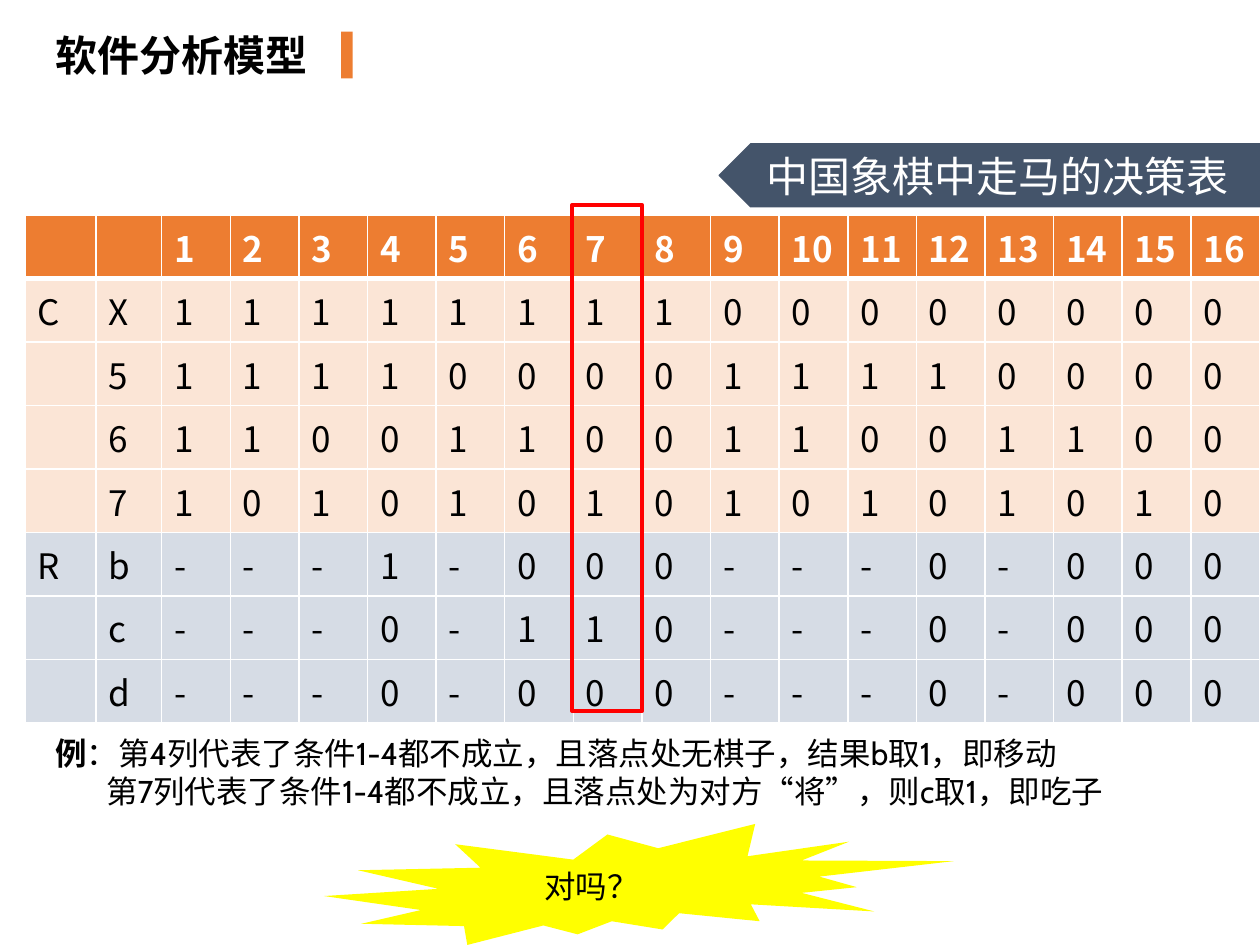
from dataclasses import dataclass

from lxml import etree
from pptx import Presentation
from pptx.dml.color import RGBColor
from pptx.enum.shapes import MSO_SHAPE
from pptx.enum.text import MSO_ANCHOR, PP_ALIGN
from pptx.oxml.ns import qn
from pptx.util import Cm, Pt

RECTANGLE = MSO_SHAPE.RECTANGLE
PENTAGON = MSO_SHAPE.PENTAGON
EXPLOSION = MSO_SHAPE.EXPLOSION2
LEFT = PP_ALIGN.LEFT
CENTER = PP_ALIGN.CENTER
TOP = MSO_ANCHOR.TOP
MIDDLE = MSO_ANCHOR.MIDDLE

CJK = "Noto Sans CJK SC"
LATIN = "Cabin"
COLORS = {
    "orange": "ED7D31",
    "peach": "FBE5D6",
    "mist": "D6DCE5",
    "slate": "44546A",
    "red": "FF0000",
    "yellow": "FFFF00",
    "white": "FFFFFF",
    "black": "000000",
}
RULE_COUNT = 16
TABLE_WIDTH = 24.89
LABEL_WIDTHS = [1.43, 1.32]
RULE_WIDTH = (TABLE_WIDTH - sum(LABEL_WIDTHS)) / RULE_COUNT
HEADER_HEIGHT = 1.04
ROW_HEIGHT = 1.27


@dataclass
class Area:
    left: float
    top: float
    width: float
    height: float

    def lengths(self):
        return Cm(self.left), Cm(self.top), Cm(self.width), Cm(self.height)


@dataclass
class DecisionRow:
    group: str
    label: str
    values: str
    fill: str


ROWS = [
    DecisionRow("C", "X", "1111111100000000", "peach"),
    DecisionRow("", "5", "1111000011110000", "peach"),
    DecisionRow("", "6", "1100110011001100", "peach"),
    DecisionRow("", "7", "1010101010101010", "peach"),
    DecisionRow("R", "b", "---1-000---0-000", "mist"),
    DecisionRow("", "c", "---0-110---0-000", "mist"),
    DecisionRow("", "d", "---0-000---0-000", "mist"),
]


def color(name: str) -> RGBColor:
    return RGBColor.from_string(COLORS[name])


def add_span(para, text: str, *, size: float, font: str = CJK,
             ink: str = "black", bold: bool = False) -> None:
    span = para.add_run()
    span.text = text
    span.font.size = Pt(size)
    span.font.bold = bold
    span.font.name = font
    span.font.color.rgb = color(ink)
    east_asian = etree.SubElement(span.font._element, qn("a:ea"))
    east_asian.set("typeface", CJK)


def add_box(page, area: Area):
    box = page.shapes.add_textbox(*area.lengths())
    box.text_frame.word_wrap = True
    return box


def add_shape(page, kind, area: Area, *, fill: str = "", line: str = "",
              line_width: float = 0.75):
    shape = page.shapes.add_shape(kind, *area.lengths())
    shape.shadow.inherit = False
    if fill:
        shape.fill.solid()
        shape.fill.fore_color.rgb = color(fill)
    else:
        shape.fill.background()
    if line:
        shape.line.color.rgb = color(line)
        shape.line.width = Pt(line_width)
    else:
        shape.line.fill.background()
    return shape


def add_border(cell, side: str, width: float) -> None:
    line = etree.SubElement(cell._tc.get_or_add_tcPr(), qn(f"a:ln{side}"))
    line.set("w", str(Pt(width)))
    fill = etree.SubElement(line, qn("a:solidFill"))
    etree.SubElement(fill, qn("a:srgbClr")).set("val", COLORS["white"])


def fill_row(table, index: int, texts: list[str], *, fill: str,
             ink: str = "black", bold: bool = False,
             top: float = 1, bottom: float = 1) -> None:
    for cell, text in zip(table.rows[index].cells, texts):
        for side, width in (("L", 1), ("R", 1), ("T", top), ("B", bottom)):
            add_border(cell, side, width)
        cell.fill.solid()
        cell.fill.fore_color.rgb = color(fill)
        if text:
            add_span(cell.text_frame.paragraphs[0], text,
                     size=20, ink=ink, bold=bold)


def add_decision_table(page) -> None:
    height = HEADER_HEIGHT + ROW_HEIGHT * len(ROWS)
    area = Area(0.51, 4.34, TABLE_WIDTH, height)
    table = page.shapes.add_table(
        len(ROWS) + 1, RULE_COUNT + 2, *area.lengths()).table
    table.horz_banding = False
    widths = LABEL_WIDTHS + [RULE_WIDTH] * RULE_COUNT
    for column, width in zip(table.columns, widths):
        column.width = Cm(width)
    heights = [HEADER_HEIGHT] + [ROW_HEIGHT] * len(ROWS)
    for row, row_height in zip(table.rows, heights):
        row.height = Cm(row_height)
    numbers = [str(number) for number in range(1, RULE_COUNT + 1)]
    fill_row(table, 0, ["", ""] + numbers, fill="orange", ink="white",
             bold=True, bottom=3)
    for index, row in enumerate(ROWS, start=1):
        fill_row(table, index, [row.group, row.label, *row.values],
                 fill=row.fill, top=3 if index == 1 else 1)


def add_title(page) -> None:
    title = page.shapes.title
    title.left, title.top, title.width, title.height = Area(
        0.86, 0.46, 6.12, 1.27).lengths()
    title.text_frame.vertical_anchor = TOP
    title.text_frame.word_wrap = True
    para = title.text_frame.paragraphs[0]
    para.alignment = LEFT
    add_span(para, "软件分析模型", size=24, bold=True)
    add_shape(page, RECTANGLE, Area(6.88, 0.64, 0.23, 0.94), fill="orange")


def add_banner(page) -> None:
    banner = add_shape(page, PENTAGON, Area(14.5, 2.9, 10.9, 1.27),
                       fill="slate", line="slate")
    banner._element.spPr.xfrm.set("flipH", "1")
    banner.text_frame.vertical_anchor = MIDDLE
    para = banner.text_frame.paragraphs[0]
    para.alignment = CENTER
    add_span(para, "中国象棋中走马的决策表", size=24, ink="white")


def add_example(page) -> None:
    frame = add_box(page, Area(0.86, 14.68, 24.1, 1.8)).text_frame
    first = frame.paragraphs[0]
    add_span(first, "例", size=18, font=LATIN, bold=True)
    add_span(first, "：第4列代表了条件1-4都不成立，且落点处无棋子，结果b取1，即移动",
             size=18, font=LATIN)
    second = frame.add_paragraph()
    second._p.get_or_add_pPr().set("marL", str(Cm(1.03)))
    add_span(second, "第7列代表了条件1-4都不成立，且落点处为对方“将”，则c取1，即吃子",
             size=18, font=LATIN)


def add_question(page) -> None:
    add_shape(page, EXPLOSION, Area(6.53, 16.61, 12.7, 2.44), fill="yellow")
    box = add_box(page, Area(10.72, 17.35, 2.2, 1.02))
    box.text_frame.word_wrap = False
    add_span(box.text_frame.paragraphs[0], "对吗？", size=18, font=LATIN)


def main() -> None:
    deck = Presentation()
    deck.slide_width, deck.slide_height = Cm(25.4), Cm(19.05)
    page = deck.slides.add_slide(deck.slide_layouts[5])
    add_title(page)
    add_decision_table(page)
    add_banner(page)
    add_example(page)
    add_shape(page, RECTANGLE, Area(11.53, 4.14, 1.42, 10.19),
              line="red", line_width=2.25)
    add_question(page)
    deck.save("out.pptx")


if __name__ == "__main__":
    main()
